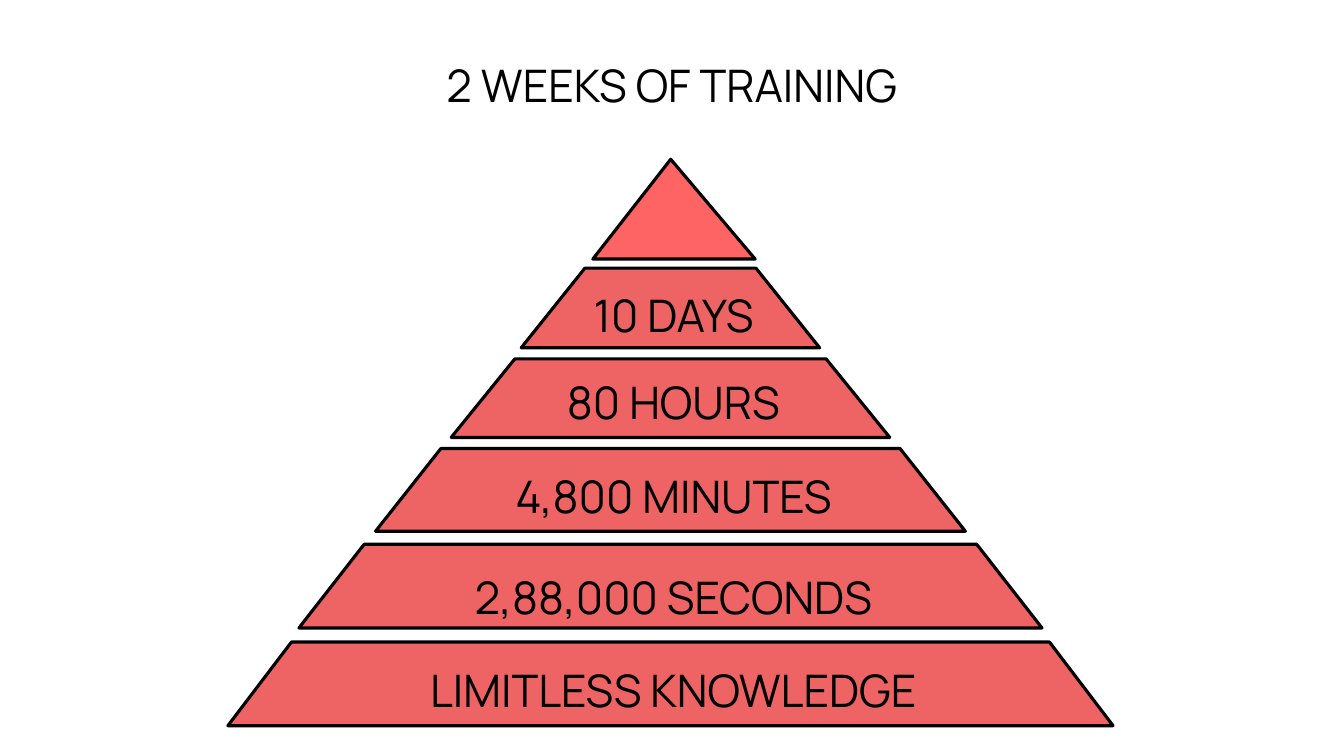
from dataclasses import dataclass
from pptx import Presentation
from pptx.dml.color import RGBColor as Rgb
from pptx.enum.shapes import MSO_SHAPE as Kind
from pptx.enum.text import MSO_ANCHOR as Anchor, PP_ALIGN as Align
from pptx.util import Inches, Pt


@dataclass(frozen=True)
class Theme:
    font: str = "Manrope"
    size: float = 32
    ink: str = "000000"
    band: str = "EE6464"
    peak: str = "FF6464"
    edge: float = 2.25


theme = Theme()


def put_text(slide, box, words, space=1.0, foot=0):
    """Centred text; foot is the bottom inset."""
    area = slide.shapes.add_textbox(*map(Inches, box))
    frame = area.text_frame
    frame.word_wrap = True
    frame.vertical_anchor = Anchor.MIDDLE
    frame.margin_left = frame.margin_right = frame.margin_top = 0
    frame.margin_bottom = Inches(foot)
    frame.text = words
    para = frame.paragraphs[0]
    para.alignment = Align.CENTER
    para.line_spacing = space
    font = para.runs[0].font
    font.name, font.size = theme.font, Pt(theme.size)
    font.color.rgb = Rgb.from_string(theme.ink)


def put_shape(slide, kind, box, adjust, fill):
    shape = slide.shapes.add_shape(kind, *map(Inches, box))
    shape.shadow.inherit = False
    shape.adjustments[0] = adjust
    shape.fill.solid()
    shape.fill.fore_color.rgb = Rgb.from_string(fill)
    shape.line.color.rgb = Rgb.from_string(theme.ink)
    shape.line.width = Pt(theme.edge)


def add_title(slide, box):
    put_text(slide, box, "2 WEEKS OF TRAINING", 1.1, foot=0.54)


def add_pyramid(slide, box):
    left, top, width, _ = box
    mid = left + width / 2

    # Peak
    put_shape(slide, Kind.ISOSCELES_TRIANGLE,
              (mid - 0.77, top, 1.61, 0.99), 0.48, theme.peak)

    # Bands: drop, width, height, slant; label with its drop, box and spacing
    bands = [
        (1.08, 2.96, 0.79, 0.8, "10 DAYS", 1.19, 2.42, 0.71, 1.0),
        (1.98, 4.35, 0.78, 0.81, "80 HOURS", 2.05, 2.96, 0.71, 1.0),
        (2.87, 5.85, 0.82, 0.79, "4,800 MINUTES", 2.98, 4.35, 0.71, 1.0),
        (3.82, 7.37, 0.83, 0.78, "2,88,000 SECONDS", 3.62, 9.79, 1.38, 1.1),
        (4.79, 8.78, 0.83, 0.76, "LIMITLESS KNOWLEDGE", 4.54, 9.79, 1.38, 1.1),
    ]
    for drop, wide, high, slant, words, fall, span, tall, space in bands:
        put_shape(slide, Kind.TRAPEZOID,
                  (mid - wide / 2, top + drop, wide, high), slant, theme.band)
        # Labels sit slightly right of the bands
        put_text(slide, (mid + 0.03 - span / 2, top + fall, span, tall),
                 words, space)


deck = Presentation()
deck.slide_width, deck.slide_height = Inches(13.33), Inches(7.5)
slide = deck.slides.add_slide(deck.slide_layouts[6])
add_title(slide, (0, 0.24, 13.33, 1.68))
add_pyramid(slide, (2.26, 1.58, 8.78, 5.62))
deck.save("out.pptx")
